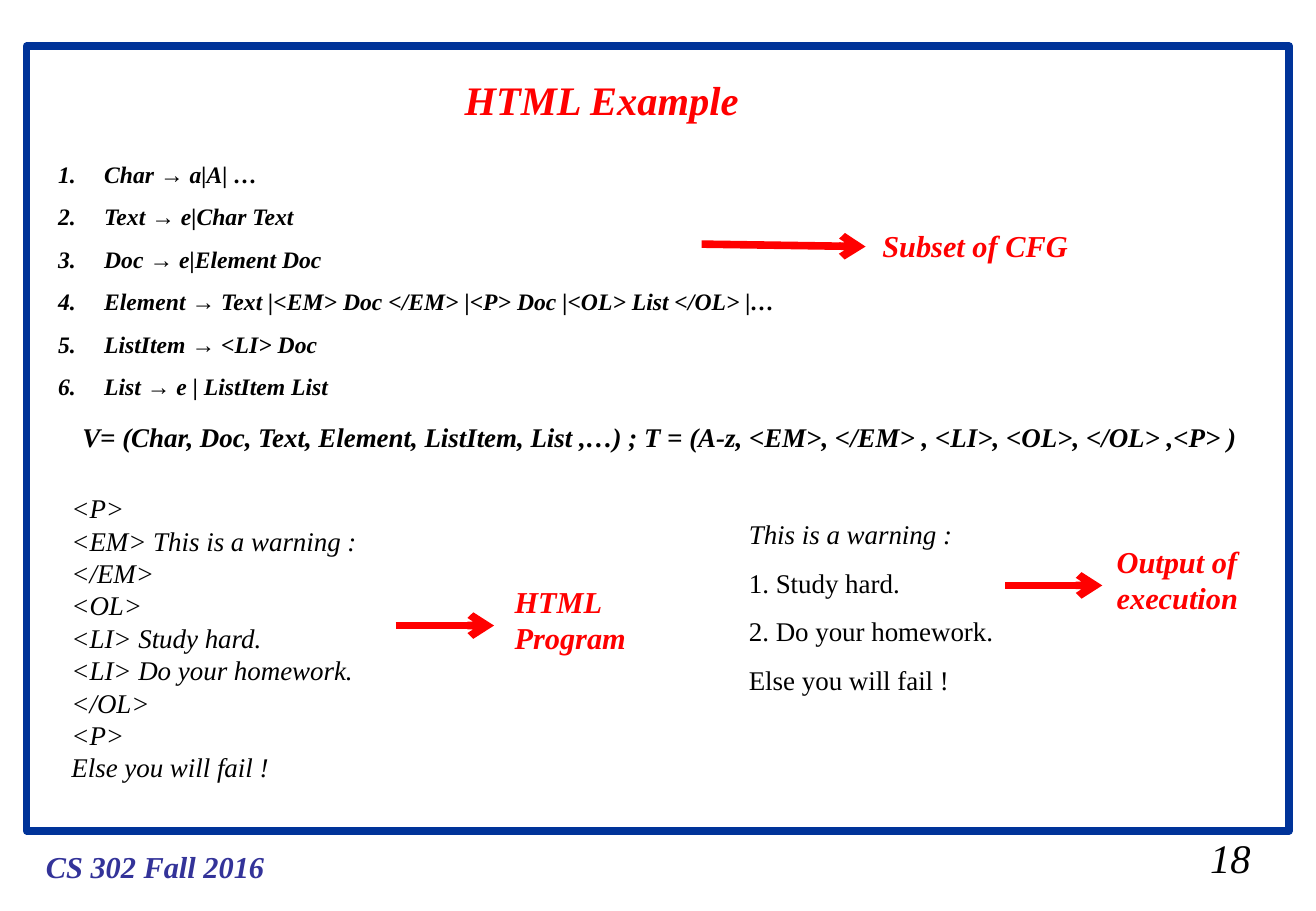
from lxml.etree import SubElement
from pptx import Presentation
from pptx.dml.color import RGBColor
from pptx.enum.shapes import MSO_CONNECTOR, MSO_SHAPE
from pptx.oxml.ns import qn
from pptx.util import Pt

COLORS = {"frame": "003399", "course": "333399", "accent": "FF0000", "body": "000000"}
BODY_FONT = "Times New Roman"
ARROW_FONT = "Arial"
LINE_WIDTH = 4.5
NUMBER_INDENT = 27.36

GRAMMAR_RULES = [
    ("Char", "a|A| …"),
    ("Text", "e|Char Text"),
    ("Doc", "e|Element Doc"),
    ("Element", "Text |<EM> Doc </EM> |<P> Doc |<OL> List </OL> |…"),
    ("ListItem", "<LI> Doc"),
    ("List", "e | ListItem List"),
]
PROGRAM_LINES = [
    "<P>",
    "<EM> This is a warning : </EM>",
    "<OL>",
    "<LI> Study hard.",
    "<LI> Do your homework.",
    "</OL>",
    "<P>",
    "Else you will fail !",
]
OUTPUT_LINES = ["This is a warning :", "1. Study hard.", "2. Do your homework.", "Else you will fail !"]
SYMBOLS = (
    "V= (Char, Doc, Text, Element, ListItem, List ,…) ; "
    "T = (A-z, <EM>, </EM> , <LI>, <OL>, </OL> ,<P> )"
)


def color(name):
    """Return the named colour of the slide."""
    return RGBColor.from_string(COLORS[name])


def format_run(run, size, color_name, bold, font_name=BODY_FONT):
    """Give a run its italic font, size, colour and weight."""
    run.font.name = font_name
    run.font.size = Pt(size)
    run.font.bold = bold
    run.font.italic = True
    run.font.color.rgb = color(color_name)


def add_text(slide, box, lines, size, color_name="body", bold=True, wrap=False, spacing=1.0):
    """Add a text box with one paragraph per line and return its paragraphs."""
    shape = slide.shapes.add_textbox(*map(Pt, box))
    text_frame = shape.text_frame
    text_frame.word_wrap = wrap
    text_frame.text = "\n".join(lines)
    for paragraph in text_frame.paragraphs:
        paragraph.line_spacing = spacing
        for run in paragraph.runs:
            format_run(run, size, color_name, bold)
    return text_frame.paragraphs


def add_label(slide, box, text):
    """Add a red label that wraps within its box."""
    add_text(slide, box, [text], 18, "accent", wrap=True)


def add_grammar(slide, box):
    """Add the numbered grammar rules."""
    lines = [f"{symbol} " for symbol, production in GRAMMAR_RULES]
    paragraphs = add_text(slide, box, lines, 14, spacing=1.5)
    for paragraph, (symbol, production) in zip(paragraphs, GRAMMAR_RULES):
        for text, font_name in (("→", ARROW_FONT), (f" {production}", BODY_FONT)):
            run = paragraph.add_run()
            run.text = text
            format_run(run, 14, "body", True, font_name)
        properties = paragraph._p.get_or_add_pPr()
        properties.set("marL", str(Pt(NUMBER_INDENT)))
        properties.set("indent", str(-Pt(NUMBER_INDENT)))
        SubElement(properties, qn("a:buAutoNum"), type="arabicPeriod")


def add_arrow(slide, start_x, start_y, end_x, end_y):
    """Add a red arrow from start to end."""
    ends = map(Pt, (start_x, start_y, end_x, end_y))
    connector = slide.shapes.add_connector(MSO_CONNECTOR.STRAIGHT, *ends)
    connector.line.color.rgb = color("accent")
    connector.line.width = Pt(LINE_WIDTH)
    SubElement(connector.line._get_or_add_ln(), qn("a:tailEnd"), type="arrow")
    SubElement(connector._element.spPr, qn("a:effectLst"))


def add_frame(slide, box):
    """Add the blue frame around the content."""
    frame = slide.shapes.add_shape(MSO_SHAPE.RECTANGLE, *map(Pt, box))
    frame.shadow.inherit = False
    frame.fill.background()
    frame.line.color.rgb = color("frame")
    frame.line.width = Pt(LINE_WIDTH)


def main():
    """Build the slide and save it."""
    presentation = Presentation()
    presentation.slide_width = Pt(780.48)
    presentation.slide_height = Pt(540)
    slide = presentation.slides.add_slide(presentation.slide_layouts[6])

    add_frame(slide, (15.84, 27.36, 748.8, 465.12))
    add_text(slide, (20.16, 499, 144, 28.8), ["CS 302 Fall 2016"], 18, "course")
    add_text(slide, (710.64, 490.32, 38.16, 36), ["18"], 24, bold=False)
    add_text(slide, (268.56, 41, 177.84, 36), ["HTML Example"], 24, "accent")

    add_grammar(slide, (27.36, 82.8, 440.64, 158.4))
    add_arrow(slide, 416.16, 144.72, 513.36, 146.16)
    add_label(slide, (516.24, 131, 133.92, 28.8), "Subset of CFG")
    add_text(slide, (41.76, 245.52, 701.28, 26.64), [SYMBOLS], 16)

    add_text(slide, (35.28, 288, 236.16, 161.28), PROGRAM_LINES, 16, bold=False)
    add_arrow(slide, 234.72, 370.8, 293.04, 370.8)
    add_label(slide, (298.08, 342, 87.84, 50.4), "HTML Program")

    output = add_text(slide, (437.04, 293.76, 159.12, 151.2), OUTPUT_LINES, 16, bold=False, spacing=1.5)
    for paragraph in output[1:]:
        paragraph.runs[0].font.italic = False
    add_arrow(slide, 596.16, 347.04, 653.76, 347.04)
    add_label(slide, (655.2, 318.24, 103.68, 50.4), "Output of execution")

    presentation.save("out.pptx")


main()
